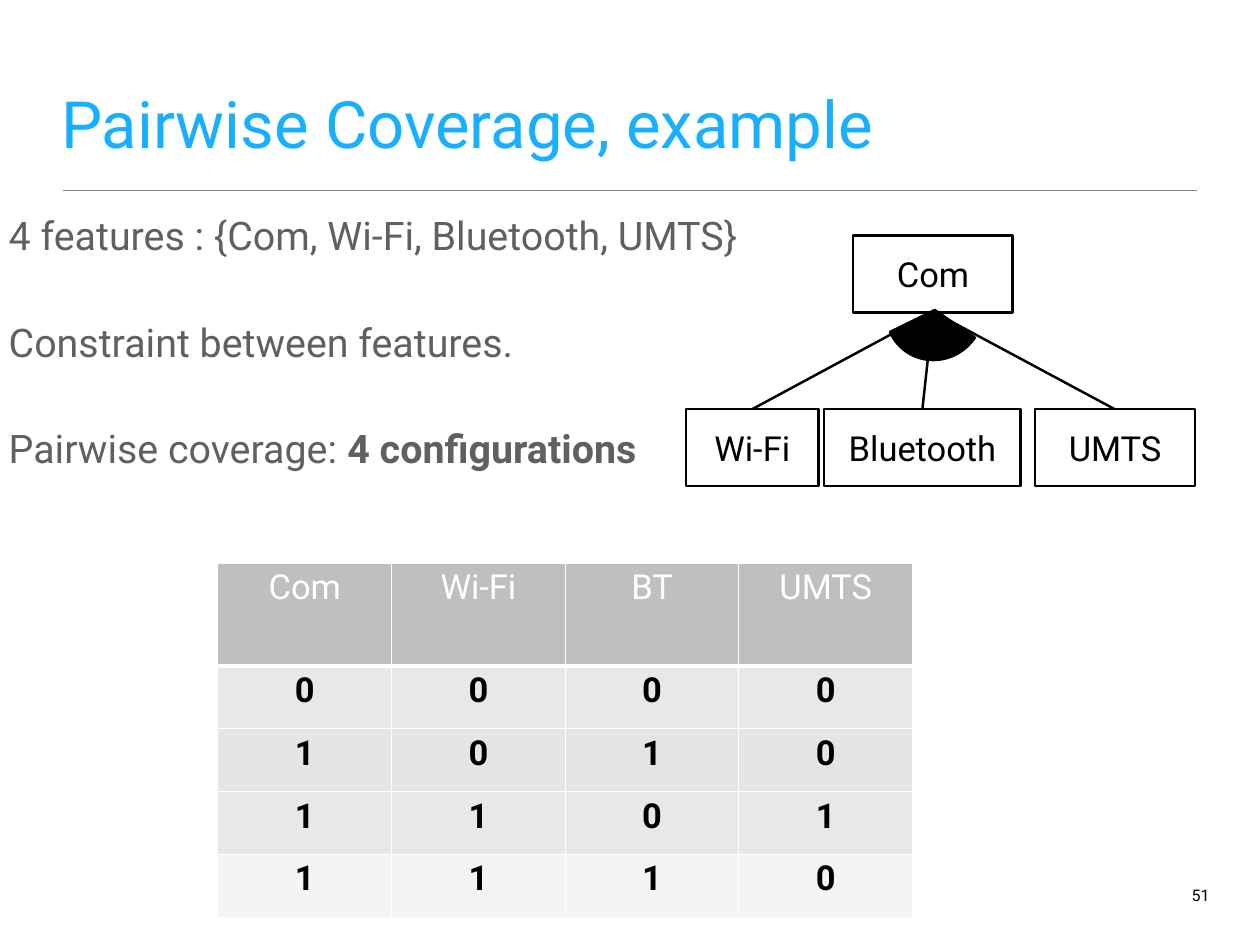
"""Build the slide on pairwise coverage of four features."""
from dataclasses import dataclass

from lxml.etree import SubElement
from pptx import Presentation
from pptx.dml.color import RGBColor
from pptx.enum.shapes import MSO_CONNECTOR as Connector, MSO_SHAPE as Preset
from pptx.enum.text import MSO_ANCHOR as Anchor, PP_ALIGN as Align
from pptx.oxml.ns import qn
from pptx.util import Emu, Pt

FONT = "Roboto"
BLACK, WHITE, GREY = "000000", "FFFFFF", "606060"
HEADER_FILL = "BFBFBF"
ROW_FILLS = ("E8E8E8", "E5E5E5", "E8E8E8", "F4F4F4")
CONFIGURATIONS = ("0000", "1010", "1101", "1110")
HEADINGS = ("Com", "Wi-Fi", "BT", "UMTS")


@dataclass(frozen=True)
class Box:
    """A rectangle on the slide, in px."""
    left: int
    top: int
    width: int
    height: int

    def emu(self) -> tuple:
        return px(self.left), px(self.top), px(self.width), px(self.height)


@dataclass(frozen=True)
class Feature:
    """A named node of the feature diagram."""
    name: str
    box: Box


@dataclass(frozen=True)
class Edge:
    """A straight line between two points, in px."""
    start: tuple
    end: tuple
    color: str = BLACK
    width: int = 2


ROOT = Feature("Com", Box(963, 266, 180, 87))
CHILDREN = (
    Feature("Wi-Fi", Box(774, 462, 150, 87)),
    Feature("Bluetooth", Box(930, 462, 222, 87)),
    Feature("UMTS", Box(1168, 462, 181, 87)),
)
FORK = (1053, 352)
EDGES = [Edge(FORK, (x, 462)) for x in (849, 1041, 1258)]
TITLE_RULE = Edge((71, 215), (1351, 215), "888888", 1)


def px(length: int) -> Emu:
    """Turn px, 100 to the inch, into EMU."""
    return Emu(length * 9144)


def rgb(color: str) -> RGBColor:
    """Turn a hex string into a colour."""
    return RGBColor.from_string(color)


def write(paragraph, text: str, *, size: int = 28, color: str = BLACK,
          bold: bool = False, align=Align.LEFT, after: int = 0) -> None:
    """Append a formatted run to a paragraph."""
    run = paragraph.add_run()
    run.text = text
    run.font.name, run.font.size, run.font.bold = FONT, Pt(size), bold
    run.font.color.rgb = rgb(color)
    paragraph.alignment = align
    paragraph.space_after = Pt(after)


def add_frame(slide, box: Box, anchor=Anchor.TOP):
    """Add a wrapping text box and return its frame."""
    frame = slide.shapes.add_textbox(*box.emu()).text_frame
    frame.word_wrap = True
    frame.vertical_anchor = anchor
    return frame


def add_preset(slide, preset, box: Box, fill: str):
    """Add a filled preset shape with a black outline."""
    shape = slide.shapes.add_shape(preset, *box.emu())
    shape.shadow.inherit = False
    shape.fill.solid()
    shape.fill.fore_color.rgb = rgb(fill)
    shape.line.color.rgb = rgb(BLACK)
    shape.line.width = Pt(2)
    return shape


def add_feature(slide, feature: Feature) -> None:
    """Draw a feature as a labelled rectangle."""
    frame = add_preset(slide, Preset.RECTANGLE, feature.box, WHITE).text_frame
    frame.vertical_anchor = Anchor.MIDDLE
    frame.word_wrap = False
    write(frame.paragraphs[0], feature.name, align=Align.CENTER)


def add_edge(slide, edge: Edge) -> None:
    """Draw a straight line without a shadow."""
    ends = [px(value) for value in edge.start + edge.end]
    line = slide.shapes.add_connector(Connector.STRAIGHT, *ends)
    line.line.color.rgb = rgb(edge.color)
    line.line.width = Pt(edge.width)
    SubElement(line._element.spPr, qn("a:effectLst"))


def add_diagram(slide) -> None:
    """Draw the feature tree with its filled or-group arc."""
    for feature in (ROOT, *CHILDREN):
        add_feature(slide, feature)
    for edge in EDGES:
        add_edge(slide, edge)
    or_group = add_preset(slide, Preset.PIE, Box(1000, 293, 110, 114), BLACK)
    or_group.rotation = 210.5
    or_group.adjustments[0] = 110.44
    or_group.adjustments[1] = 182.04


def fill_cell(cell, text: str, fill: str, color: str, bold: bool,
              bottom: int) -> None:
    """Set the text, white borders and fill of a table cell."""
    write(cell.text_frame.paragraphs[0], text, color=color, bold=bold,
          align=Align.CENTER)
    properties = cell._tc.get_or_add_tcPr()
    for side, width in (("L", 1), ("R", 1), ("T", 1), ("B", bottom)):
        border = SubElement(properties, qn(f"a:ln{side}"), w=str(Pt(width)))
        solid = SubElement(border, qn("a:solidFill"))
        SubElement(solid, qn("a:srgbClr"), val=WHITE)
    cell.fill.solid()
    cell.fill.fore_color.rgb = rgb(fill)


def add_configurations(slide) -> None:
    """Add the table of covering configurations."""
    rows = (HEADINGS, *CONFIGURATIONS)
    table = slide.shapes.add_table(
        len(rows), len(HEADINGS), *Box(246, 636, 784, 400).emu()).table
    for column in table.columns:
        column.width = px(196)
    for index, values in enumerate(rows):
        heading = index == 0
        table.rows[index].height = px(116 if heading else 71)
        fill = HEADER_FILL if heading else ROW_FILLS[index - 1]
        for cell, value in zip(table.rows[index].cells, values):
            fill_cell(cell, value, fill, WHITE if heading else BLACK,
                      not heading, 3 if heading else 1)


def add_texts(slide) -> None:
    """Add the title, slide number and statements."""
    title = add_frame(slide, Box(63, 36, 1297, 153), Anchor.BOTTOM)
    title.margin_left = title.margin_right = px(6)
    title.margin_top = title.margin_bottom = px(6)
    write(title.paragraphs[0], "Pairwise Coverage, example", size=53,
          color="19AFFF")

    number = add_frame(slide, Box(1323, 982, 52, 57), Anchor.MIDDLE)
    write(number.paragraphs[0], "51", size=13, align=Align.RIGHT)

    statements = add_frame(slide, Box(0, 234, 924, 370))
    style = {"size": 32, "color": GREY, "after": 48}
    write(statements.paragraphs[0],
          "4 features : {Com, Wi-Fi, Bluetooth, UMTS}", **style)
    write(statements.add_paragraph(), "Constraint between features.", **style)
    coverage = statements.add_paragraph()
    write(coverage, "Pairwise coverage: ", **style)
    write(coverage, "4 configurations", bold=True, **style)


def main() -> None:
    """Build and save the slide."""
    deck = Presentation()
    deck.slide_width, deck.slide_height = px(1422), px(1067)
    slide = deck.slides.add_slide(deck.slide_layouts[6])
    add_edge(slide, TITLE_RULE)
    add_texts(slide)
    add_diagram(slide)
    add_configurations(slide)
    deck.save("out.pptx")


if __name__ == "__main__":
    main()
